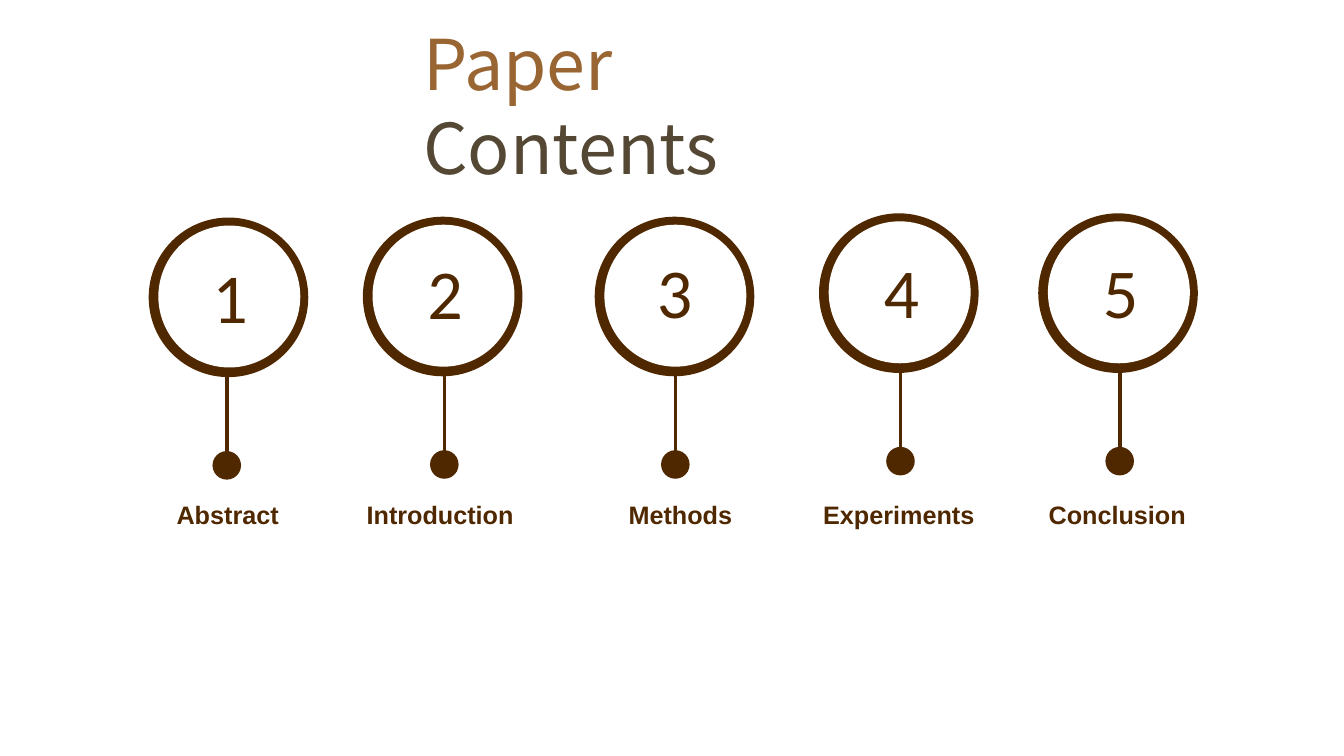
from dataclasses import dataclass

from lxml.etree import SubElement
from pptx import Presentation
from pptx.dml.color import RGBColor
from pptx.enum.shapes import MSO_CONNECTOR as CONN, MSO_SHAPE as SHAPE
from pptx.enum.text import PP_ALIGN as ALIGN
from pptx.oxml.ns import qn
from pptx.util import Inches, Pt

COLS, ROWS = 160, 90


@dataclass(frozen=True)
class Theme:
    brown: str = "502800"
    tan: str = "996633"
    olive: str = "544834"
    white: str = "FFFFFF"
    title_font: str = "Noto Sans CJK KR"
    number_font: str = "Calibri"
    label_font: str = "Arial"
    big: int = 50
    small: int = 18
    stem: float = 2.6


class Deck:
    """Draws styled elements on the current slide, measured in square grid cells."""

    def __init__(self, theme):
        self.theme = theme
        self.prs = Presentation()
        self.prs.slide_width, self.prs.slide_height = Inches(13.333), Inches(7.5)
        self.s = self.prs.slides.add_slide(self.prs.slide_layouts[6])

    def cells(self, *lengths):
        return [round(n * self.prs.slide_height / ROWS) for n in lengths]

    def disc(self, cx, cy, size, color):
        box = self.cells(cx - size / 2, cy - size / 2, size, size)
        sp = self.s.shapes.add_shape(SHAPE.OVAL, *box)
        sp.shadow.inherit = False
        sp.fill.solid()
        sp.fill.fore_color.rgb = RGBColor.from_string(color)
        sp.line.fill.background()

    def stem(self, x, top, bottom):
        ends = self.cells(x, top, x, bottom)
        line = self.s.shapes.add_connector(CONN.STRAIGHT, *ends)
        line.line.width = Pt(self.theme.stem)
        line.line.color.rgb = RGBColor.from_string(self.theme.brown)
        SubElement(line._element.spPr, qn("a:effectLst"))

    def text(self, box, runs, font, para=None):
        tf = self.s.shapes.add_textbox(*self.cells(*box)).text_frame
        tf.word_wrap = True
        p = tf.paragraphs[0]
        for key, value in (para or {}).items():
            setattr(p, key, value)
        for words, color in runs:
            r = p.add_run()
            r.text = words
            for key, value in font.items():
                setattr(r.font, key, value)
            r.font.color.rgb = RGBColor.from_string(color)


def main():
    t = Theme()
    d = Deck(t)
    title = {"name": t.title_font, "size": Pt(t.big)}
    number = {"name": t.number_font, "size": Pt(t.big)}
    label = {"name": t.label_font, "size": Pt(t.small), "bold": True}
    centred = {"alignment": ALIGN.CENTER}
    spaced = {**centred, "line_spacing": 1.11}

    d.text((49.2, 1.8, 61.5, 11.3), [("Paper ", t.tan), ("Contents", t.olive)], title)

    sections = [
        ("Abstract", 27.2, 27, 27.1, 35.4, 27.4, 35.3),
        ("Introduction", 52.7, 52.9, 52.4, 35.3, 53, 34.8),
        ("Methods", 80.3, 80.4, 81, 35.3, 80.3, 34.7),
        ("Experiments", 107, 107.2, 107, 34.9, 107.3, 34.6),
        ("Conclusion", 133.1, 133.3, 133, 34.9, 133.4, 34.6),
    ]
    for i, (name, ring_x, stem_x, label_x, y, num_x, num_y) in enumerate(sections, 1):
        d.stem(stem_x, y + 7.7, y + 20)
        d.disc(ring_x, y, 19, t.brown)
        d.disc(ring_x + 0.1, y - 0.1, 16.9, t.white)
        d.disc(stem_x, y + 20, 3.4, t.brown)
        d.text((num_x - 3.4, num_y - 5.65, 6.8, 11.3), [(str(i), t.brown)], number, centred)
        d.text((label_x - 13.4, 58.5, 26.8, 9.7), [(name, t.brown)], label, spaced)

    d.prs.save("out.pptx")


if __name__ == "__main__":
    main()
